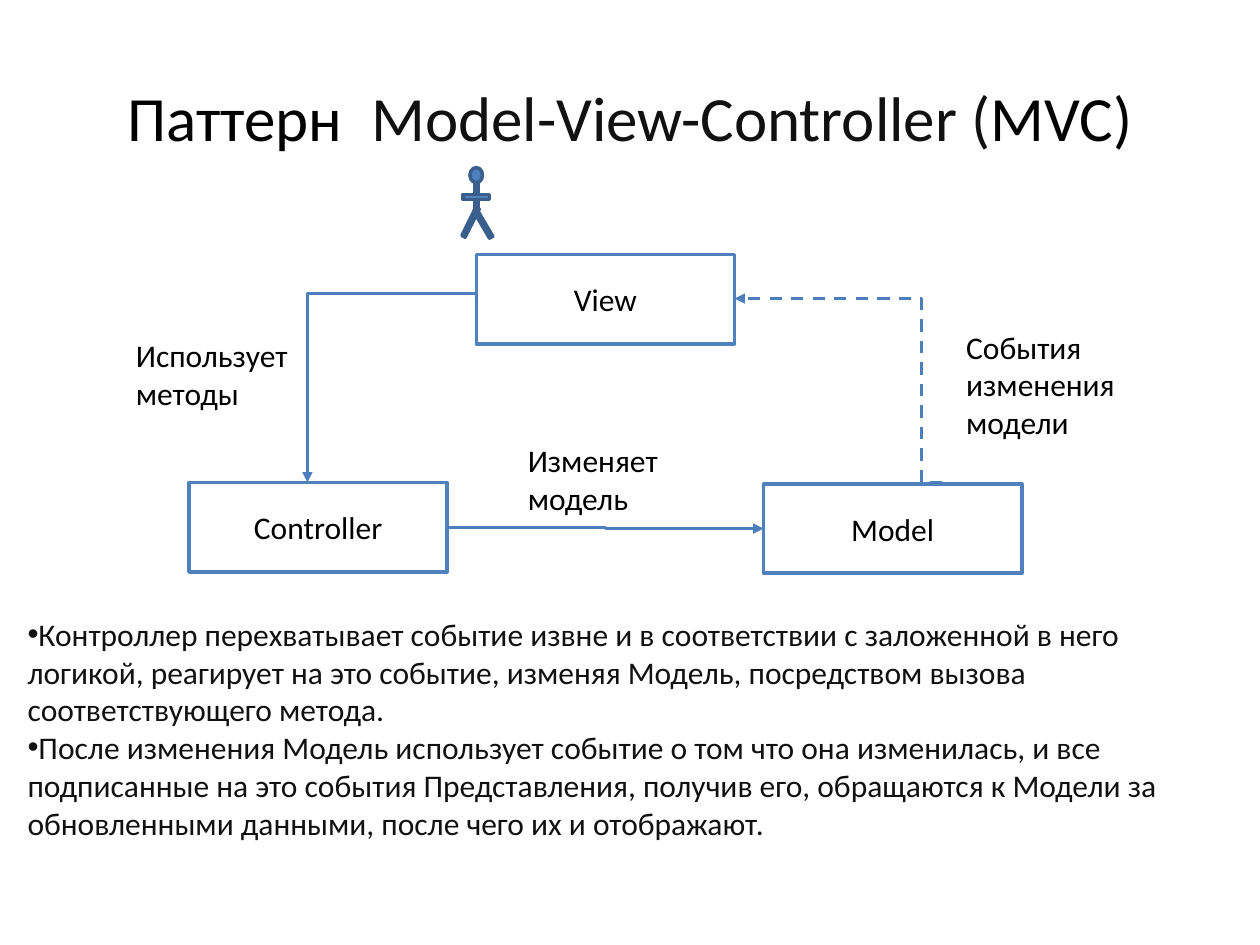
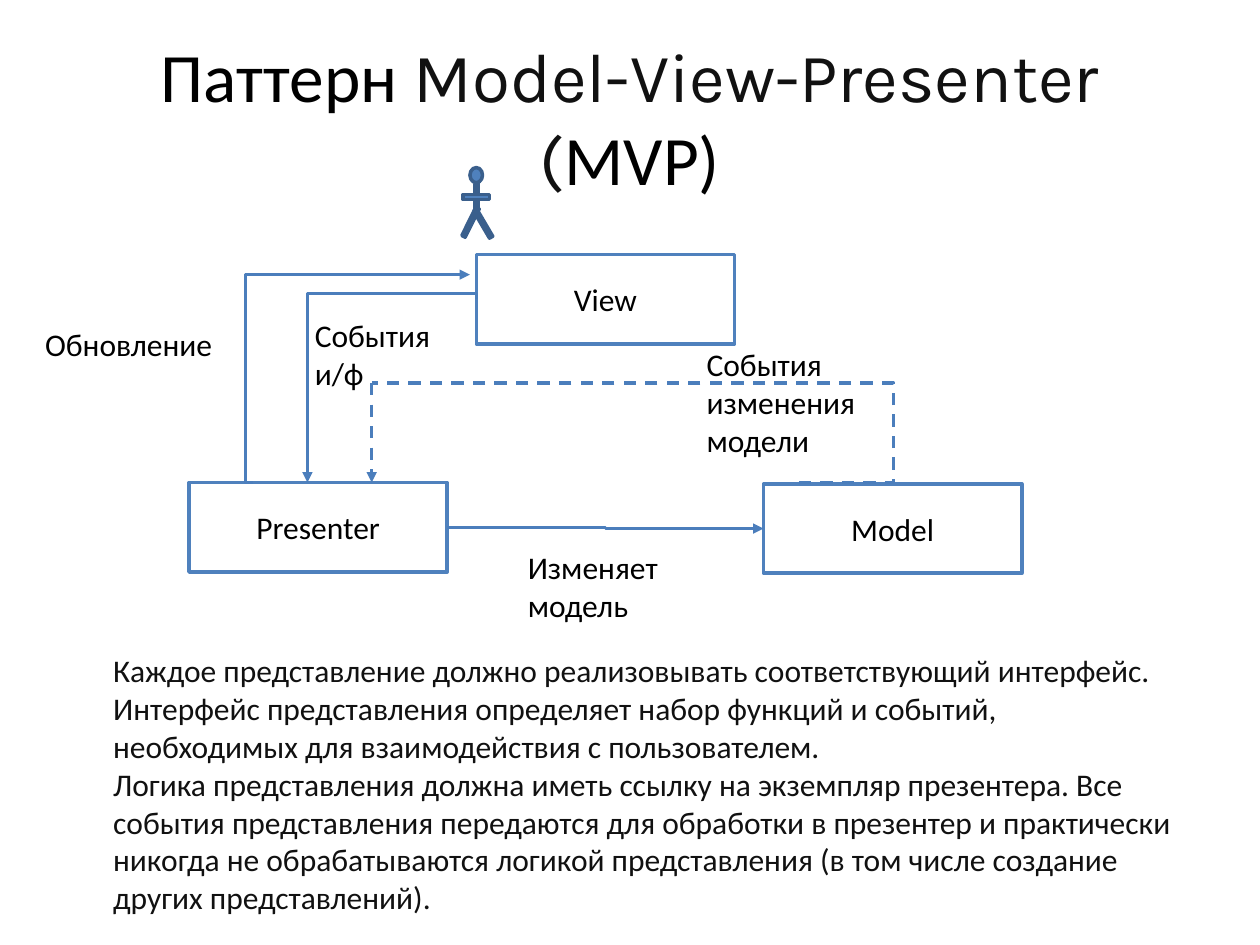
from dataclasses import dataclass

from pptx import Presentation
from pptx import util as u
from pptx.dml.color import RGBColor
from pptx.enum import dml, shapes, text
from pptx.oxml import ns
from lxml import etree

BLACK = RGBColor(0x00, 0x00, 0x00)
INK = RGBColor(0x11, 0x11, 0x11)
WHITE = RGBColor(0xFF, 0xFF, 0xFF)
BLUE = RGBColor(0x4F, 0x81, 0xBD)
ARROW_BLUE = RGBColor(0x4B, 0x7E, 0xBC)
DARK_BLUE = RGBColor(0x3A, 0x5F, 0x8C)

FONT = "Calibri"
TEXT_SIZE = 18
CELL = u.Inches(0.1)
NODE_WIDTH, NODE_HEIGHT = 20.5, 7.1
LOWER_ROW = 18.1
LABEL_WIDTH = 14.2
LABEL_HEIGHTS = {1: 4, 2: 7.1, 3: 10.1}


@dataclass
class Box:
    """A region measured in columns and rows of a 100 by 75 grid."""

    left: float
    top: float
    width: float
    height: float

    def inside(self, left, top, width, height):
        """Return a box placed relative to this one."""
        return Box(self.left + left, self.top + top, width, height)

    def point(self, column, row):
        """Return the grid position of a point given relative to this box."""
        return self.left + column, self.top + row

    def lengths(self):
        """Return left, top, width and height as slide lengths."""
        return [grid(value) for value in (self.left, self.top, self.width, self.height)]


TITLE_BOX = Box(5, 3, 90, 12.5)
FIGURE_BOX = Box(37, 13.3, 3, 5.6)
DIAGRAM_BOX = Box(15, 20.2, 66.1, 25.3)


def grid(value):
    """Convert grid cells to a slide length."""
    return u.Emu(round(value * CELL))


def format_run(run, size=TEXT_SIZE, color=BLACK, font=FONT):
    """Apply size, colour and typeface to a run."""
    run.font.size = u.Pt(size)
    run.font.color.rgb = color
    run.font.name = font


def add_title(slide, box, size, parts):
    """Fill the title placeholder with (words, colour, font) parts."""
    title = slide.shapes.title
    title.left, title.top, title.width, title.height = box.lengths()
    frame = title.text_frame
    frame.auto_size = text.MSO_AUTO_SIZE.NONE
    frame.vertical_anchor = text.MSO_ANCHOR.MIDDLE
    paragraph = frame.paragraphs[0]
    paragraph.alignment = text.PP_ALIGN.CENTER
    for words, color, font in parts:
        run = paragraph.add_run()
        run.text = words
        format_run(run, size, color, font)


def add_text(container, box, paragraphs, color=BLACK, bullet=None):
    """Add a wrapped text box with one paragraph per string."""
    frame = container.shapes.add_textbox(*box.lengths()).text_frame
    frame.word_wrap = True
    frame.auto_size = text.MSO_AUTO_SIZE.SHAPE_TO_FIT_TEXT
    frame.text = "\n".join(paragraphs)
    for paragraph in frame.paragraphs:
        format_run(paragraph.runs[0], color=color)
        if bullet:
            properties = paragraph._p.get_or_add_pPr()
            etree.SubElement(properties, ns.qn("a:buFont"), typeface="Arial")
            etree.SubElement(properties, ns.qn("a:buChar"), char=bullet)


def add_filled(container, kind, box, fill, line):
    """Add a shape with a flat fill and a two-point outline."""
    shape = container.shapes.add_shape(kind, *box.lengths())
    shape.shadow.inherit = False
    shape.fill.solid()
    shape.fill.fore_color.rgb = fill
    shape.line.color.rgb = line
    shape.line.width = u.Pt(2)
    return shape


def add_node(container, box, name):
    """Add a white outlined rectangle naming a component."""
    frame = add_filled(container, shapes.MSO_SHAPE.RECTANGLE, box, WHITE, BLUE).text_frame
    frame.text = name
    frame.vertical_anchor = text.MSO_ANCHOR.MIDDLE
    frame.paragraphs[0].alignment = text.PP_ALIGN.CENTER
    format_run(frame.paragraphs[0].runs[0])


def add_arrow(container, start, end, bend=None, dashed=False, head=True, upright=False):
    """Link two points; bend places the middle segment, upright leaves vertically."""
    kind = shapes.MSO_CONNECTOR.STRAIGHT if bend is None else shapes.MSO_CONNECTOR.ELBOW
    if upright:
        middle = [(a + b) / 2 for a, b in zip(start, end)]
        half = (end[1] - start[1]) / 2, (start[0] - end[0]) / 2
        start = [m - h for m, h in zip(middle, half)]
        end = [m + h for m, h in zip(middle, half)]
    connector = container.shapes.add_connector(kind, *map(grid, (*start, *end)))
    properties = connector._element.spPr
    if upright:
        properties.find(ns.qn("a:xfrm")).set("rot", "5400000")
    if bend is not None:
        guides = properties.find(ns.qn("a:prstGeom")).find(ns.qn("a:avLst"))
        etree.SubElement(guides, ns.qn("a:gd"), name="adj1", fmla=f"val {round(bend * 100000)}")
    connector.line.color.rgb = ARROW_BLUE
    connector.line.width = u.Pt(1.75)
    if dashed:
        connector.line.dash_style = dml.MSO_LINE.DASH
    if head:
        etree.SubElement(connector.line._get_or_add_ln(), ns.qn("a:tailEnd"), type="triangle")
    etree.SubElement(properties, ns.qn("a:effectLst"))


def add_figure(slide, box):
    """Draw the user as a stick figure."""
    group = slide.shapes.add_group_shape()
    oval, bar = shapes.MSO_SHAPE.OVAL, shapes.MSO_SHAPE.RECTANGLE
    limbs = [
        (oval, (0.3, 0, 1, 1.2), 0),
        (bar, (0.7, 1.3, 0.3, 2.5), 0),
        (bar, (0.2, 3.1, 0.3, 2.5), 26.5),
        (bar, (1.2, 3.2, 0.3, 2.5), 329.6),
        (bar, (0.6, 1.3, 0.4, 2.1), 90),
    ]
    for kind, place, rotation in limbs:
        add_filled(group, kind, box.inside(*place), BLUE, DARK_BLUE).rotation = rotation


def add_diagram(slide, box, mediator, labels, arrows):
    """Draw three components with their shared links, extra arrows and labels."""
    group = slide.shapes.add_group_shape()
    right = box.width - NODE_WIDTH
    nodes = [
        ("View", right / 2, 0),
        (mediator, 0, LOWER_ROW),
        ("Model", right, box.height - NODE_HEIGHT),
    ]
    for name, column, row in nodes:
        add_node(group, box.inside(column, row, NODE_WIDTH, NODE_HEIGHT), name)
    side = LOWER_ROW + NODE_HEIGHT / 2
    links = [
        ((right / 2, 3.5), (9.4, LOWER_ROW), dict(bend=-0.026, upright=True)),
        ((NODE_WIDTH, side), (right, side + 0.1), dict(bend=0.5)),
    ]
    for start, end, style in links + arrows:
        add_arrow(group, box.point(*start), box.point(*end), **style)
    for words, column, row, lines, width in labels:
        add_text(group, box.inside(column, row, width, LABEL_HEIGHTS[lines]), [words])


def add_pattern_slide(presentation, title_size, title, diagram, body):
    """Build a slide with title, component diagram, user figure and explanation."""
    slide = presentation.slides.add_slide(presentation.slide_layouts[5])
    add_title(slide, TITLE_BOX, title_size, title)
    add_diagram(slide, DIAGRAM_BOX, **diagram)
    add_figure(slide, FIGURE_BOX)
    add_text(slide, color=INK, **body)


def add_mvc_slide(presentation):
    """Describe the Model-View-Controller pattern."""
    add_pattern_slide(
        presentation,
        36,
        [("Паттерн ", BLACK, FONT), (" Model-View-Controller (", INK, FONT), ("MVC)", BLACK, FONT)],
        dict(
            mediator="Controller",
            labels=[
                ("Использует методы", -5.2, 6, 2, LABEL_WIDTH),
                ("Изменяет модель", 25.9, 14.3, 2, LABEL_WIDTH),
                ("События изменения модели", 60.7, 5.3, 3, 18),
            ],
            arrows=[((59.8, LOWER_ROW), (43.3, 3.5), dict(bend=0.103, dashed=True))],
        ),
        dict(
            box=Box(1.2, 48.3, 96.9, 19.2),
            bullet="•",
            paragraphs=[
                "Контроллер перехватывает событие извне и в соответствии с заложенной в него "
                "логикой, реагирует на это событие, изменяя Mодель, посредством вызова "
                "соответствующего метода.",
                "После изменения Модель использует событие о том что она изменилась, и все "
                "подписанные на это события Представления, получив его, обращаются к Модели "
                "за обновленными данными, после чего их и отображают.",
            ],
        ),
    )


def add_mvp_slide(presentation):
    """Describe the Model-View-Presenter pattern."""
    corner = (14.5, 10.2)
    add_pattern_slide(
        presentation,
        39.6,
        [("Паттерн ", BLACK, FONT), ("Model-View-Presenter (", INK, "Karla"), ("MVP)", BLACK, FONT)],
        dict(
            mediator="Presenter",
            labels=[
                ("События и/ф", 9, 4.4, 2, LABEL_WIDTH),
                ("Изменяет модель", 25.9, 22.8, 2, LABEL_WIDTH),
                ("События изменения модели", 40.1, 6.7, 3, LABEL_WIDTH),
                ("Обновление", -12.4, 5.1, 1, 15.9),
            ],
            arrows=[
                ((48.4, LOWER_ROW), corner, dict(bend=-0.222, dashed=True, head=False)),
                (corner, (corner[0], LOWER_ROW), dict(dashed=True)),
                ((5.1, LOWER_ROW), (22.3, 1.6), dict(bend=-0.035)),
            ],
        ),
        dict(
            box=Box(8, 51.2, 87, 22.2),
            paragraphs=[
                "Каждое представление должно реализовывать соответствующий интерфейс. "
                "Интерфейс представления определяет набор функций и событий, необходимых "
                "для взаимодействия с пользователем.",
                "Логика представления должна иметь ссылку на экземпляр презентера. Все "
                "события представления передаются для обработки в презентер и практически "
                "никогда не обрабатываются логикой представления (в том числе создание "
                "других представлений).",
            ],
        ),
    )


def main():
    """Build and save the presentation."""
    presentation = Presentation()
    presentation.slide_width = 100 * CELL
    presentation.slide_height = 75 * CELL
    add_mvc_slide(presentation)
    add_mvp_slide(presentation)
    presentation.save("out.pptx")


if __name__ == "__main__":
    main()
